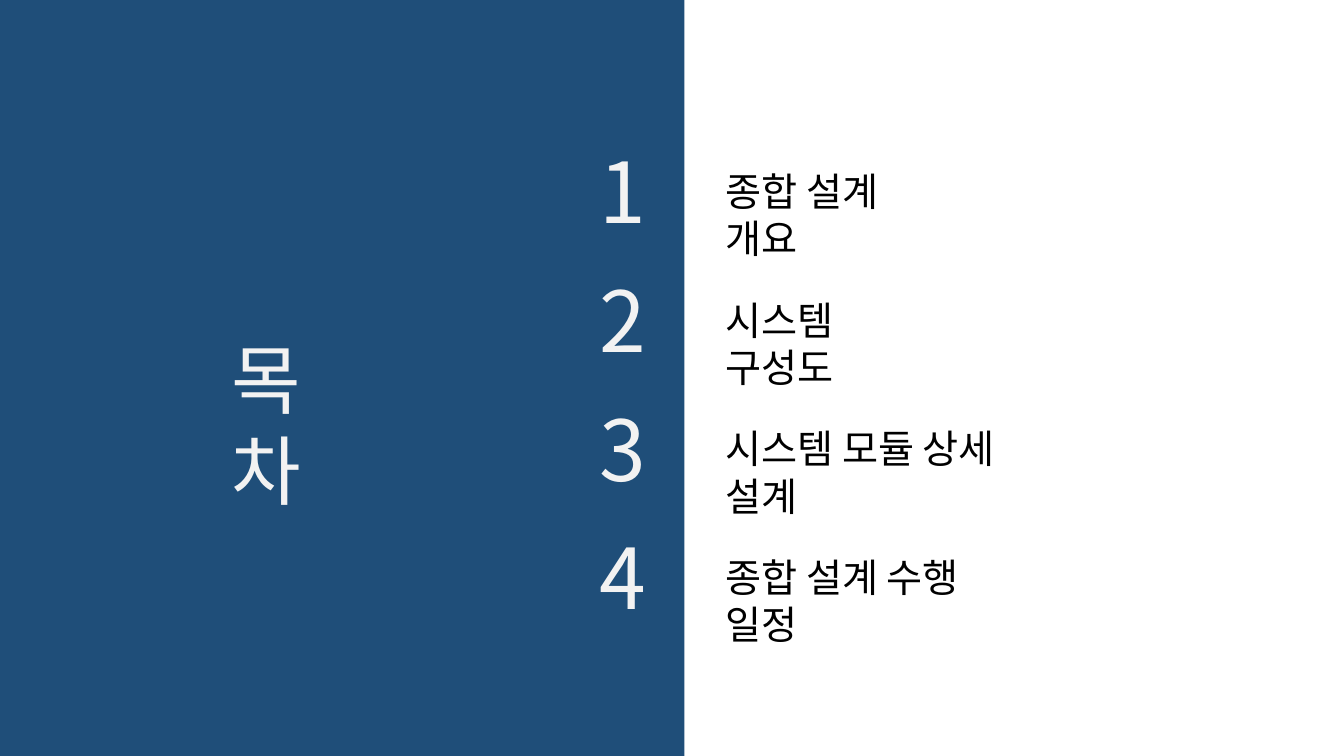
from dataclasses import dataclass

from lxml.etree import SubElement
from pptx import Presentation
from pptx.dml.color import RGBColor
from pptx.enum.shapes import MSO_SHAPE
from pptx.enum.text import MSO_ANCHOR, MSO_AUTO_SIZE, PP_ALIGN
from pptx.oxml.ns import qn
from pptx.shapes.autoshape import Shape
from pptx.util import Cm, Pt


@dataclass(frozen=True)
class Theme:
    font: str = "Noto Sans CJK KR"
    panel: RGBColor = RGBColor(0x1F, 0x4E, 0x79)
    light: RGBColor = RGBColor(0xF2, 0xF2, 0xF2)
    dark: RGBColor = RGBColor(0, 0, 0)
    title_size: int = 54
    number_size: int = 60
    entry_size: int = 28


@dataclass(frozen=True)
class Entry:
    text: str
    width: float


THEME = Theme()
ENTRIES = [
    Entry("종합 설계 개요", 6.3),
    Entry("시스템 구성도", 6.07),
    Entry("시스템 모듈 상세 설계", 9.19),
    Entry("종합 설계 수행 일정", 8.31),
]
NUMBER_LEFT, NUMBER_TOP = 14.86, 3.4
NUMBER_WIDTH, NUMBER_HEIGHT = 1.83, 2.82
ENTRY_LEFT, ENTRY_TOP, ENTRY_HEIGHT = 18.03, 4.1, 1.45
ROW_PITCH = 3.24


def paint(shape: Shape, color: RGBColor) -> None:
    shape.shadow.inherit = False
    shape.fill.solid()
    shape.fill.fore_color.rgb = color
    shape.line.fill.background()


def write(shape: Shape, text: str, size: int, color: RGBColor) -> None:
    frame = shape.text_frame
    frame_format = {
        "word_wrap": True,
        "auto_size": MSO_AUTO_SIZE.NONE,
        "vertical_anchor": MSO_ANCHOR.TOP,
    }
    for name, value in frame_format.items():
        setattr(frame, name, value)
    paragraph = frame.paragraphs[0]
    paragraph.alignment = PP_ALIGN.LEFT
    run = paragraph.add_run()
    run.text = text
    for name, value in {"name": THEME.font, "size": Pt(size)}.items():
        setattr(run.font, name, value)
    run.font.color.rgb = color
    # Korean glyphs take the East Asian font
    SubElement(run._r.get_or_add_rPr(), qn("a:ea"), typeface=THEME.font)


presentation = Presentation()
presentation.slide_width, presentation.slide_height = Cm(33.87), Cm(19.05)
slide = presentation.slides.add_slide(presentation.slide_layouts[5])
shapes = slide.shapes

# Left panel, behind the title
title = shapes.title
panel = shapes.add_shape(MSO_SHAPE.RECTANGLE, 0, 0, Cm(17.25), presentation.slide_height)
paint(panel, THEME.panel)
title.element.addprevious(panel.element)

# Title
title_place = {"left": 5.59, "top": 8.26, "width": 3.94, "height": 2.57}
for name, value in title_place.items():
    setattr(title, name, Cm(value))
write(title, "목차", THEME.title_size, THEME.light)

# Numbered contents
for index, entry in enumerate(ENTRIES):
    offset = index * ROW_PITCH
    number = shapes.add_shape(
        MSO_SHAPE.RECTANGLE, Cm(NUMBER_LEFT), Cm(NUMBER_TOP + offset),
        Cm(NUMBER_WIDTH), Cm(NUMBER_HEIGHT))
    paint(number, THEME.panel)
    write(number, str(index + 1), THEME.number_size, THEME.light)
    label = shapes.add_textbox(
        Cm(ENTRY_LEFT), Cm(ENTRY_TOP + offset), Cm(entry.width), Cm(ENTRY_HEIGHT))
    write(label, entry.text, THEME.entry_size, THEME.dark)

presentation.save("out.pptx")
